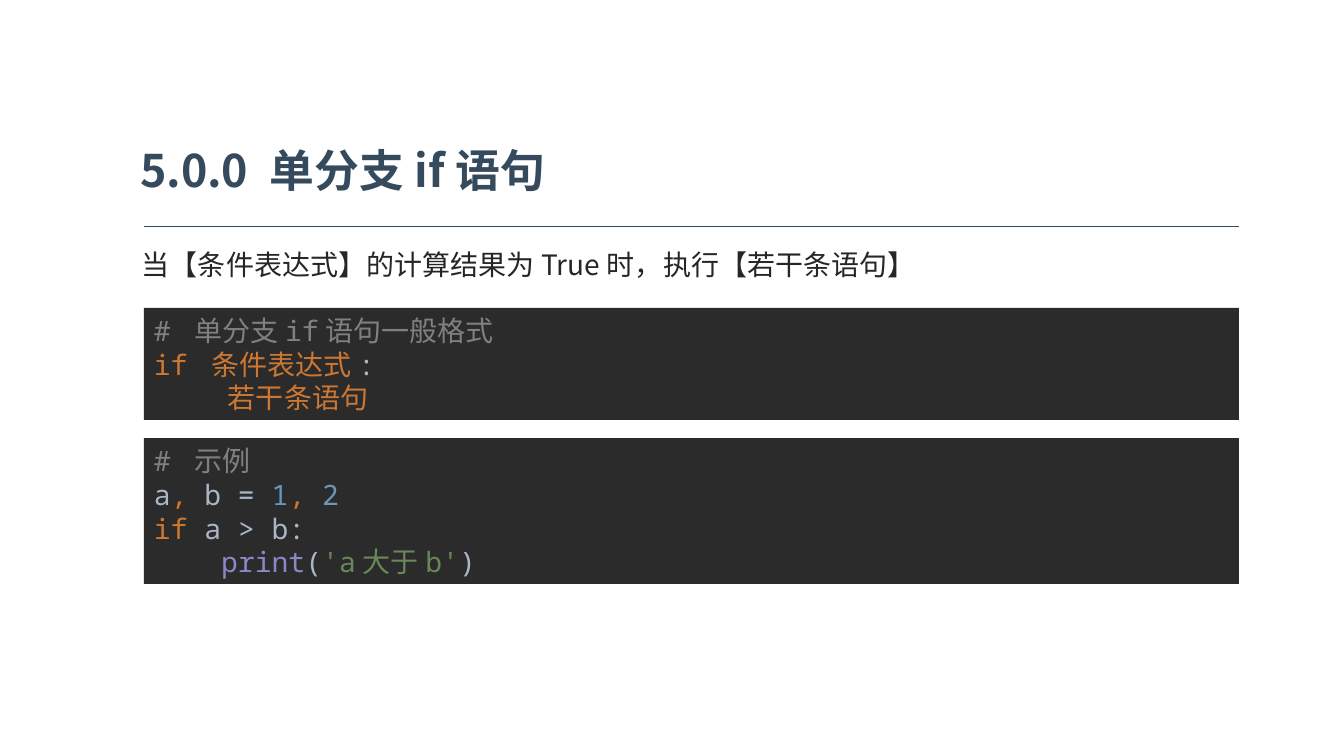
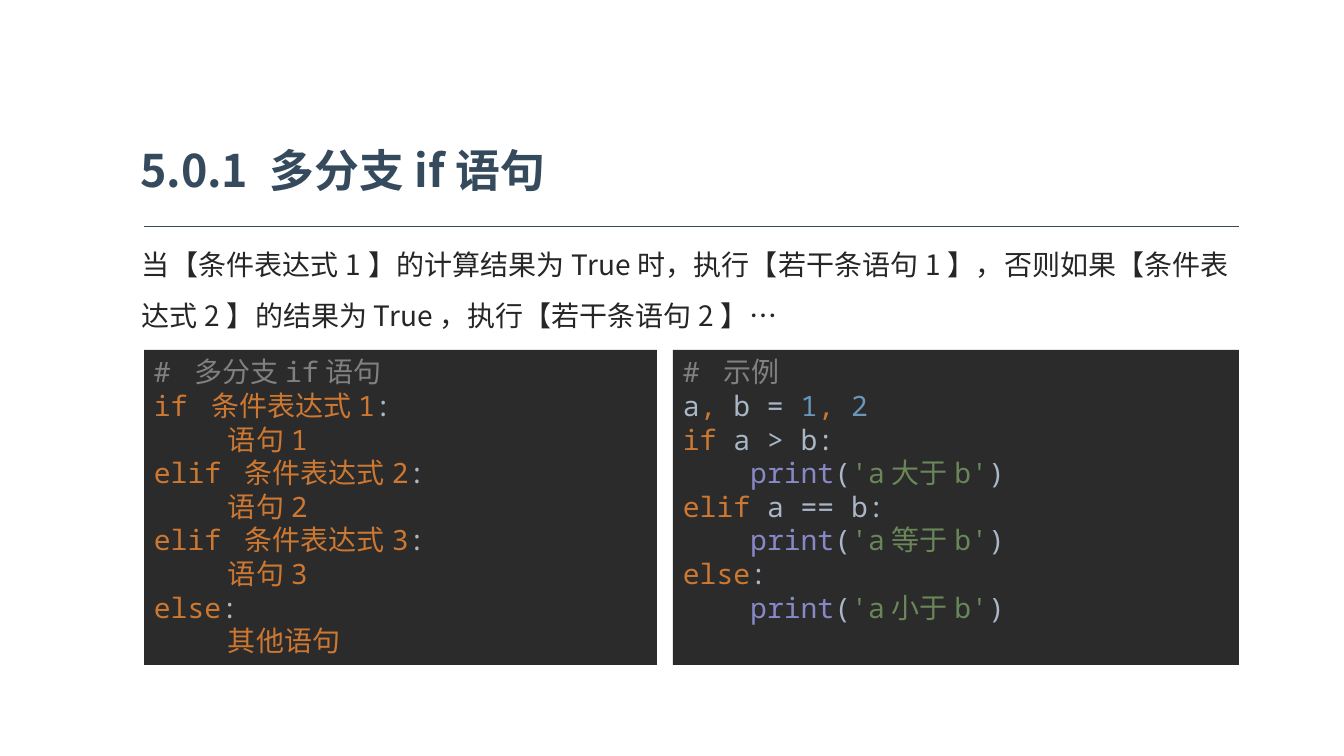
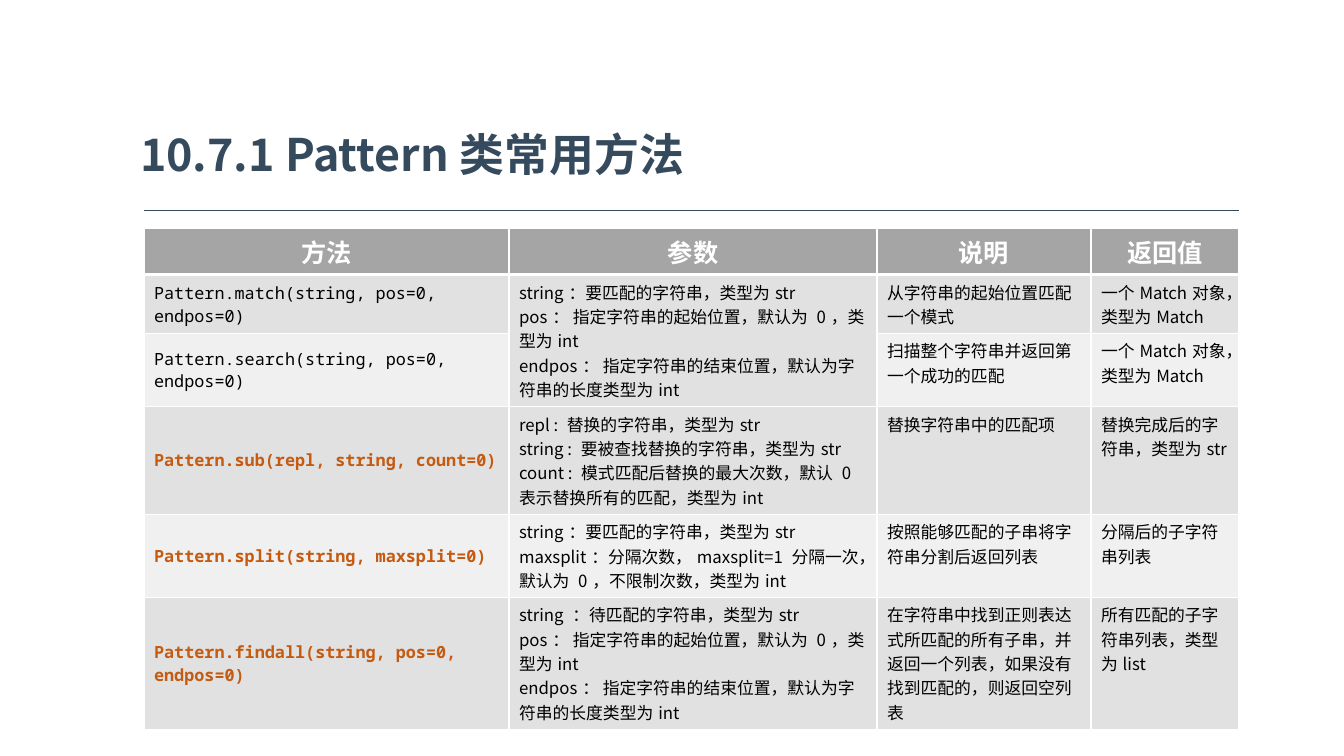
from lxml import etree
from pptx import Presentation
from pptx.dml.color import RGBColor
from pptx.enum.shapes import MSO_CONNECTOR, MSO_SHAPE
from pptx.enum.text import MSO_ANCHOR, MSO_AUTO_SIZE, PP_ALIGN
from pptx.oxml.ns import qn
from pptx.util import Pt

RECTANGLE, STRAIGHT = MSO_SHAPE.RECTANGLE, MSO_CONNECTOR.STRAIGHT
TOP, MIDDLE = MSO_ANCHOR.TOP, MSO_ANCHOR.MIDDLE
LEFT, CENTER, JUSTIFY = PP_ALIGN.LEFT, PP_ALIGN.CENTER, PP_ALIGN.JUSTIFY
NO_AUTOFIT = MSO_AUTO_SIZE.NONE
TITLE_ONLY = 5

SANS, MONO = "Noto Sans CJK SC", "Noto Sans Mono"
NAVY = RGBColor(0x35, 0x4A, 0x5D)
INK = RGBColor(0x26, 0x26, 0x26)
BLACK = RGBColor(0, 0, 0)
WHITE = RGBColor(0xFF, 0xFF, 0xFF)
RUST = RGBColor(0xC5, 0x5A, 0x11)
HEADER_GRAY = RGBColor(0xA5, 0xA5, 0xA5)
BAND_GRAYS = RGBColor(0xE1, 0xE1, 0xE1), RGBColor(0xF0, 0xF0, 0xF0)
CODE_BACK = RGBColor(0x2B, 0x2B, 0x2B)
COMMENT = RGBColor(0x80, 0x80, 0x80)
KEYWORD = RGBColor(0xCC, 0x78, 0x32)
PLAIN = RGBColor(0xA9, 0xB7, 0xC6)
NUMBER = RGBColor(0x68, 0x97, 0xBB)
BUILTIN = RGBColor(0x88, 0x88, 0xC6)
STRING = RGBColor(0x6A, 0x87, 0x59)

# Lengths in px
SLIDE_WIDTH, SLIDE_HEIGHT = 1344, 756
CONTENT_LEFT, CONTENT_WIDTH = 144, 1095
TITLE_LEFT, TITLE_WIDTH, TITLE_HEIGHT = 127, 701, 74
TITLE_TO_RULE = 93
RULE_TOP, TABLE_RULE_TOP = 226, 210
BODY_LEFT, BODY_WIDTH = 132, 1107
CODE_GAP = 16


def px(length):
    return round(length * 914400 / 100.8)


def print_line(relation):
    return [(PLAIN, "    "), (BUILTIN, "print"), (PLAIN, "("),
            (STRING, f"'a{relation}b'"), (PLAIN, ")")]


def branch(keyword, condition, statement):
    return [(KEYWORD, f"{keyword}{condition}"), (PLAIN, ":\n    "), (KEYWORD, statement)]


NEW_LINE = [(PLAIN, "\n")]
EXAMPLE = [
    (COMMENT, "# 示例\n"),
    (PLAIN, "a"), (KEYWORD, ", "), (PLAIN, "b = "),
    (NUMBER, "1"), (KEYWORD, ", "), (NUMBER, "2\n"),
    (KEYWORD, "if "), (PLAIN, "a > b:\n"), *print_line("大于"),
]
SINGLE_FORMAT = [(COMMENT, "# 单分支if语句一般格式\n"),
                 *branch("if", " 条件表达式", "若干条语句")]
MULTI_FORMAT = [
    (COMMENT, "# 多分支if语句\n"),
    *branch("if", " 条件表达式1", "语句1\n"),
    *branch("elif", " 条件表达式2", "语句2\n"),
    *branch("elif", " 条件表达式3", "语句3\n"),
    *branch("else", "", "其他语句"),
]
MULTI_EXAMPLE = [
    *EXAMPLE, *NEW_LINE,
    (KEYWORD, "elif "), (PLAIN, "a == b:\n"), *print_line("等于"), *NEW_LINE,
    (KEYWORD, "else"), (PLAIN, ":\n"), *print_line("小于"),
]

SINGLE_TEXT = "当【条件表达式】的计算结果为True时，执行【若干条语句】"
MULTI_TEXT = ("当【条件表达式1】的计算结果为True时，执行【若干条语句1】，"
              "否则如果【条件表达式2】的结果为True，执行【若干条语句2】…")

POSITION_PARAMETERS = ["pos： 指定字符串的起始位置，默认为 0，类型为int",
                       "endpos： 指定字符串的结束位置，默认为字符串的长度类型为int"]
MATCH_RESULT = "一个Match对象，类型为Match"
COLUMN_WIDTHS = [365, 368, 214, 148]
ROW_HEIGHT = 41
HEADERS = ["方法", "参数", "说明", "返回值"]
# Method, highlighted, parameters (None joins the cell above), description, result
METHODS = [
    ("Pattern.match(string, pos=0, endpos=0)", False,
     ["string：要匹配的字符串，类型为str", *POSITION_PARAMETERS],
     "从字符串的起始位置匹配一个模式", MATCH_RESULT),
    ("Pattern.search(string, pos=0, endpos=0)", False, None,
     "扫描整个字符串并返回第一个成功的匹配", MATCH_RESULT),
    ("Pattern.sub(repl, string, count=0)", True,
     ["repl : 替换的字符串，类型为str",
      "string : 要被查找替换的字符串，类型为str",
      "count : 模式匹配后替换的最大次数，默认 0 表示替换所有的匹配，类型为int"],
     "替换字符串中的匹配项", "替换完成后的字符串，类型为str"),
    ("Pattern.split(string, maxsplit=0)", True,
     ["string：要匹配的字符串，类型为str",
      "maxsplit：分隔次数，maxsplit=1 分隔一次，默认为 0，不限制次数，类型为int"],
     "按照能够匹配的子串将字符串分割后返回列表", "分隔后的子字符串列表"),
    ("Pattern.findall(string, pos=0, endpos=0)", True,
     ["string ：待匹配的字符串，类型为str", *POSITION_PARAMETERS],
     "在字符串中找到正则表达式所匹配的所有子串，并返回一个列表，如果没有找到匹配的，则返回空列表",
     "所有匹配的子字符串列表，类型为list"),
]


def write(paragraph, text, *, size, color, font=SANS, bold=False, align=LEFT):
    """Append formatted text; each newline becomes a line break."""
    paragraph.alignment = align
    for index, line in enumerate(text.split("\n")):
        if index:
            paragraph.add_line_break()
        if not line:
            continue
        run = paragraph.add_run()
        run.text = line
        run.font.size, run.font.bold, run.font.name = Pt(size), bold, font
        run.font.color.rgb = color
        east_asian = etree.SubElement(run._r.get_or_add_rPr(), qn("a:ea"))
        east_asian.set("typeface", SANS)


def add_titled_slide(presentation, title, rule_top=RULE_TOP):
    slide = presentation.slides.add_slide(presentation.slide_layouts[TITLE_ONLY])
    shape = slide.shapes.title
    shape.left, shape.top = px(TITLE_LEFT), px(rule_top - TITLE_TO_RULE)
    shape.width, shape.height = px(TITLE_WIDTH), px(TITLE_HEIGHT)
    frame = shape.text_frame
    frame.auto_size, frame.vertical_anchor = NO_AUTOFIT, MIDDLE
    frame.margin_left = frame.margin_right = px(13)
    frame.margin_top = frame.margin_bottom = px(7)
    write(frame.paragraphs[0], title, size=32, color=NAVY, bold=True)

    rule = slide.shapes.add_connector(
        STRAIGHT, px(CONTENT_LEFT), px(rule_top),
        px(CONTENT_LEFT + CONTENT_WIDTH), px(rule_top))
    rule.line.color.rgb, rule.line.width = NAVY, Pt(0.5)
    etree.SubElement(rule._element.spPr, qn("a:effectLst"))
    return slide


def add_body(slide, text, height):
    box = slide.shapes.add_textbox(px(BODY_LEFT), px(RULE_TOP), px(BODY_WIDTH), px(height))
    box.text_frame.word_wrap = True
    paragraph = box.text_frame.paragraphs[0]
    paragraph.line_spacing = 1.5
    write(paragraph, text, size=20, color=INK, align=JUSTIFY)


def add_code(slide, tokens, left, top, width, height, anchor=MIDDLE):
    panel = slide.shapes.add_shape(RECTANGLE, px(left), px(top), px(width), px(height))
    panel.shadow.inherit = False
    panel.fill.solid()
    panel.fill.fore_color.rgb = CODE_BACK
    panel.line.fill.background()
    frame = panel.text_frame
    frame.word_wrap, frame.vertical_anchor = True, anchor
    for color, text in tokens:
        write(frame.paragraphs[0], text, size=20, color=color, font=MONO)


def fill_cell(cell, lines, back, *, anchor=TOP, thick_sides=(), **text_format):
    properties = cell._tc.get_or_add_tcPr()
    for side in "LRTB":
        width = Pt(3 if side in thick_sides else 1)
        border = etree.SubElement(properties, qn(f"a:ln{side}"), w=str(width))
        fill = etree.SubElement(border, qn("a:solidFill"))
        etree.SubElement(fill, qn("a:srgbClr"), val=str(WHITE))
    cell.fill.solid()
    cell.fill.fore_color.rgb = back
    cell.vertical_anchor = anchor
    frame = cell.text_frame
    for index, line in enumerate(lines):
        paragraph = frame.add_paragraph() if index else frame.paragraphs[0]
        write(paragraph, line, **text_format)


def add_method_table(slide, top):
    row_count = len(METHODS) + 1
    table = slide.shapes.add_table(
        row_count, len(HEADERS), px(CONTENT_LEFT), px(top),
        px(CONTENT_WIDTH), px(ROW_HEIGHT * row_count)).table
    for column, width in zip(table.columns, COLUMN_WIDTHS):
        column.width = px(width)
    for row in table.rows:
        row.height = px(ROW_HEIGHT)
    for column, header in enumerate(HEADERS):
        fill_cell(table.cell(0, column), [header], HEADER_GRAY, thick_sides="B",
                  size=18, color=WHITE, bold=True, align=CENTER)
    for row, (method, highlighted, parameters, description, result) in enumerate(METHODS, 1):
        back = BAND_GRAYS[(row - 1) % 2]
        sides = "T" if row == 1 else ""
        fill_cell(table.cell(row, 0), [method], back, anchor=MIDDLE, thick_sides=sides,
                  size=12, color=RUST if highlighted else BLACK, font=MONO, bold=highlighted)
        for column, lines in enumerate((parameters or [], [description], [result]), 1):
            fill_cell(table.cell(row, column), lines, back, thick_sides=sides,
                      size=12, color=BLACK)
        if parameters is None:
            table.cell(row - 1, 1).merge(table.cell(row, 1))


def main():
    presentation = Presentation()
    presentation.slide_width, presentation.slide_height = px(SLIDE_WIDTH), px(SLIDE_HEIGHT)

    slide = add_titled_slide(presentation, "5.0.0 单分支if语句")
    add_body(slide, SINGLE_TEXT, 55)
    add_code(slide, SINGLE_FORMAT, CONTENT_LEFT, 308, CONTENT_WIDTH, 112)
    add_code(slide, EXAMPLE, CONTENT_LEFT, 438, CONTENT_WIDTH, 146)

    slide = add_titled_slide(presentation, "5.0.1 多分支if语句")
    add_body(slide, MULTI_TEXT, 106)
    format_width = 513
    example_offset = format_width + CODE_GAP
    add_code(slide, MULTI_FORMAT, CONTENT_LEFT, 350, format_width, 315, TOP)
    add_code(slide, MULTI_EXAMPLE, CONTENT_LEFT + example_offset, 350,
             CONTENT_WIDTH - example_offset, 315, TOP)

    slide = add_titled_slide(presentation, "10.7.1 Pattern类常用方法", TABLE_RULE_TOP)
    add_method_table(slide, 228)

    presentation.save("out.pptx")


if __name__ == "__main__":
    main()
